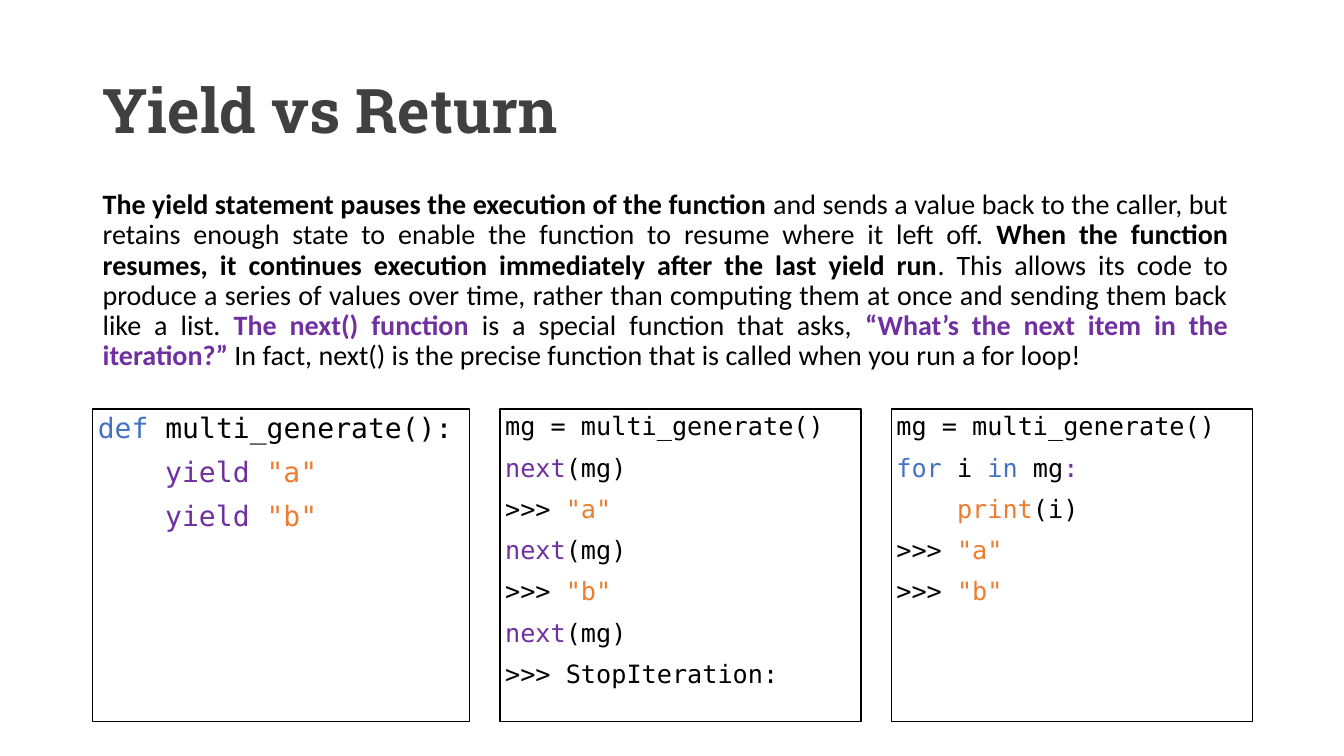
"""Build the slide that compares yield with return."""
from dataclasses import dataclass
from typing import NamedTuple

from pptx import Presentation
from pptx.dml.color import RGBColor
from pptx.enum.shapes import MSO_SHAPE
from pptx.enum.text import MSO_ANCHOR, PP_ALIGN
from pptx.util import Inches, Pt


@dataclass(frozen=True)
class Theme:
    """Hold the colours, fonts and type sizes."""
    black: str = "000000"
    grey: str = "404040"
    blue: str = "4472C4"
    purple: str = "7030A0"
    orange: str = "ED7D31"
    head: str = "Roboto Slab"
    body: str = "Calibri"
    mono: str = "DejaVu Sans Mono"
    title: int = 44
    large: int = 20
    small: int = 18


LOOK = Theme()


class Span(NamedTuple):
    """Describe a run of text."""
    text: str
    color: str = LOOK.black
    bold: bool = False


class Line(NamedTuple):
    """Describe a paragraph and its indent in characters."""
    spans: list[Span]
    tab: int = 0


class Panel(NamedTuple):
    """Describe a framed block of code."""
    left: float
    width: float
    size: int
    lines: list[Line]


def write(frame, lines: list[Line], *, font: str, size: int, before: float = 0,
          align=PP_ALIGN.LEFT, anchor=MSO_ANCHOR.TOP, inset: float | None = None,
          indent: float = 0) -> None:
    """Fill a text frame with formatted lines."""
    frame.word_wrap = True
    frame.vertical_anchor = anchor
    if inset is not None:
        frame.margin_left = frame.margin_right = Inches(inset)
        frame.margin_top = frame.margin_bottom = Inches(inset)
    for index, line in enumerate(lines):
        para = frame.paragraphs[0] if index == 0 else frame.add_paragraph()
        para.alignment = align
        para.line_spacing = 0.9
        para.space_before = Pt(before)
        step = Inches(indent + line.tab * 0.602 * size / 72)
        props = para._p.get_or_add_pPr()
        props.set("marL", str(step))
        props.set("indent", "0")
        for span in line.spans:
            run = para.add_run()
            run.text = span.text
            run.font.name = font
            run.font.size = Pt(size)
            run.font.bold = span.bold
            run.font.color.rgb = RGBColor.from_string(span.color)


def draw(slide, panel: Panel) -> None:
    """Draw a code panel."""
    box = slide.shapes.add_shape(
        MSO_SHAPE.RECTANGLE, Inches(panel.left), Inches(4.06),
        Inches(panel.width), Inches(3.1))
    box.shadow.inherit = False
    box.fill.background()
    box.line.color.rgb = RGBColor.from_string(LOOK.black)
    box.line.width = Pt(1)
    write(box.text_frame, panel.lines, font=LOOK.mono, size=panel.size,
          before=10, inset=0.05)


def give(value: str) -> Line:
    """Make a yield line."""
    return Line([Span("yield ", LOOK.purple), Span(value, LOOK.orange)], tab=4)


def show(value: str) -> Line:
    """Make a line of shell output."""
    return Line([Span(">>> "), Span(value, LOOK.orange)])


TITLE = [Line([Span("Yield vs Return", LOOK.grey, True)])]
PROSE = [Line([
    Span("The yield statement pauses the execution of the function ", bold=True),
    Span("and sends a value back to the caller, but retains enough state to "
         "enable the function to resume where it left off. "),
    Span("When the function resumes, it continues execution immediately after "
         "the last yield run", bold=True),
    Span(". This allows its code to produce a series of values over time, rather "
         "than computing them at once and sending them back like a list. "),
    Span("The next() function", LOOK.purple, True),
    Span(" is a special function that asks, "),
    Span("“What’s the next item in the iteration?”", LOOK.purple, True),
    Span(" In fact, next() is the precise function that is called when you run "
         "a for loop!"),
])]
MAKE = Line([Span("mg = multi_generate()")])
NEXT = Line([Span("next", LOOK.purple), Span("(mg)")])
PANELS = [
    Panel(0.92, 3.74, LOOK.large, [
        Line([Span("def ", LOOK.blue), Span("multi_generate():")]),
        give('"a"'), give('"b"')]),
    Panel(4.96, 3.58, LOOK.small, [
        MAKE, NEXT, show('"a"'), NEXT, show('"b"'), NEXT,
        Line([Span(">>> StopIteration:")])]),
    Panel(8.84, 3.58, LOOK.small, [
        MAKE,
        Line([Span("for ", LOOK.blue), Span("i "), Span("in ", LOOK.blue),
              Span("mg"), Span(":", LOOK.purple)]),
        Line([Span("print", LOOK.orange), Span("(i)")], tab=4),
        show('"a"'), show('"b"')]),
]


def main() -> None:
    """Build and save the slide."""
    deck = Presentation()
    deck.slide_width, deck.slide_height = Inches(13.33), Inches(7.5)
    slide = deck.slides.add_slide(deck.slide_layouts[6])
    title = slide.shapes.add_textbox(
        Inches(0.92), Inches(0.4), Inches(11.5), Inches(1.45))
    write(title.text_frame, TITLE, font=LOOK.head, size=LOOK.title,
          anchor=MSO_ANCHOR.MIDDLE)
    prose = slide.shapes.add_textbox(
        Inches(0.42), Inches(1.84), Inches(11.86), Inches(1.91))
    write(prose.text_frame, PROSE, font=LOOK.body, size=LOOK.large, before=5,
          align=PP_ALIGN.JUSTIFY, indent=0.5)
    for panel in PANELS:
        draw(slide, panel)
    deck.save("out.pptx")


if __name__ == "__main__":
    main()
